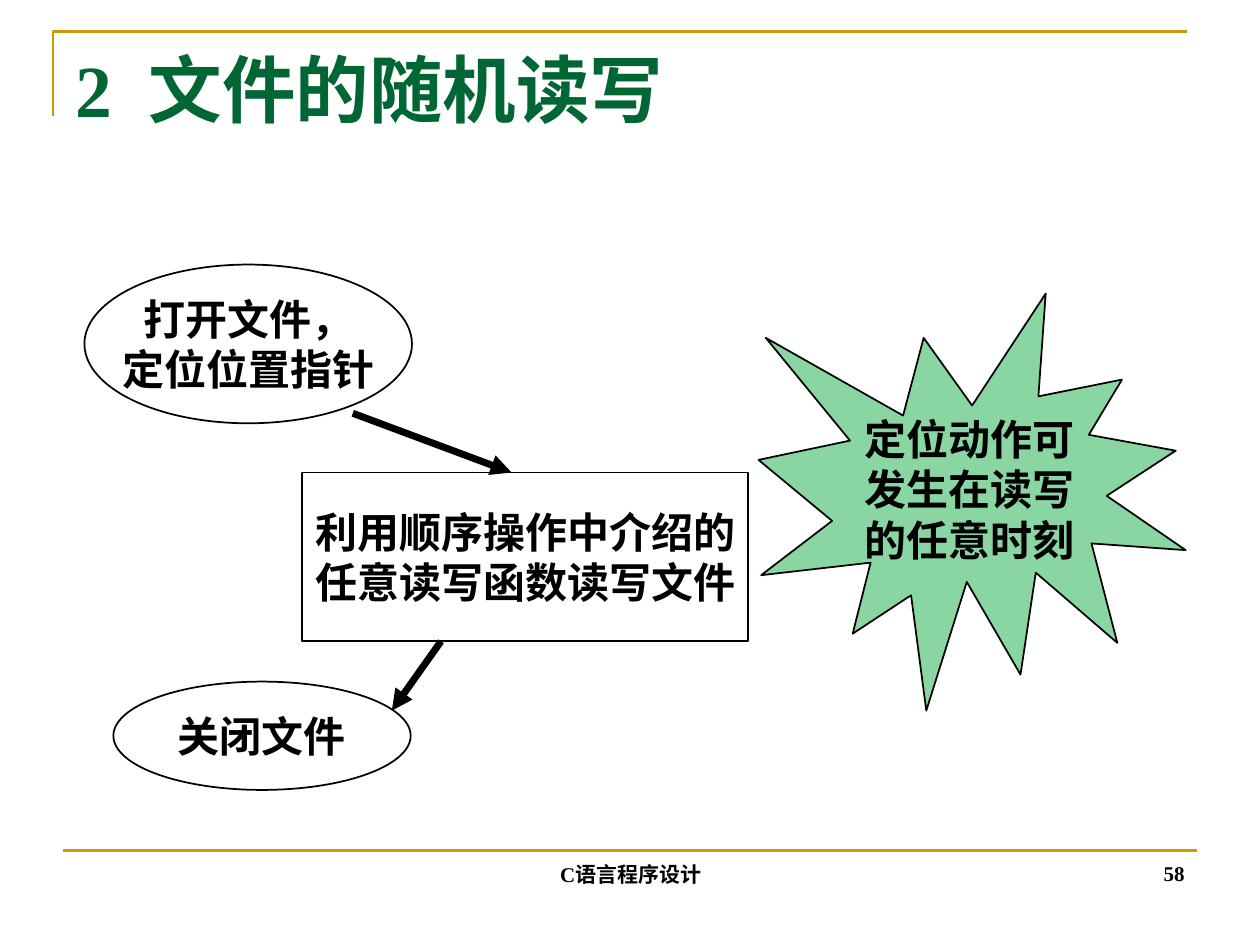
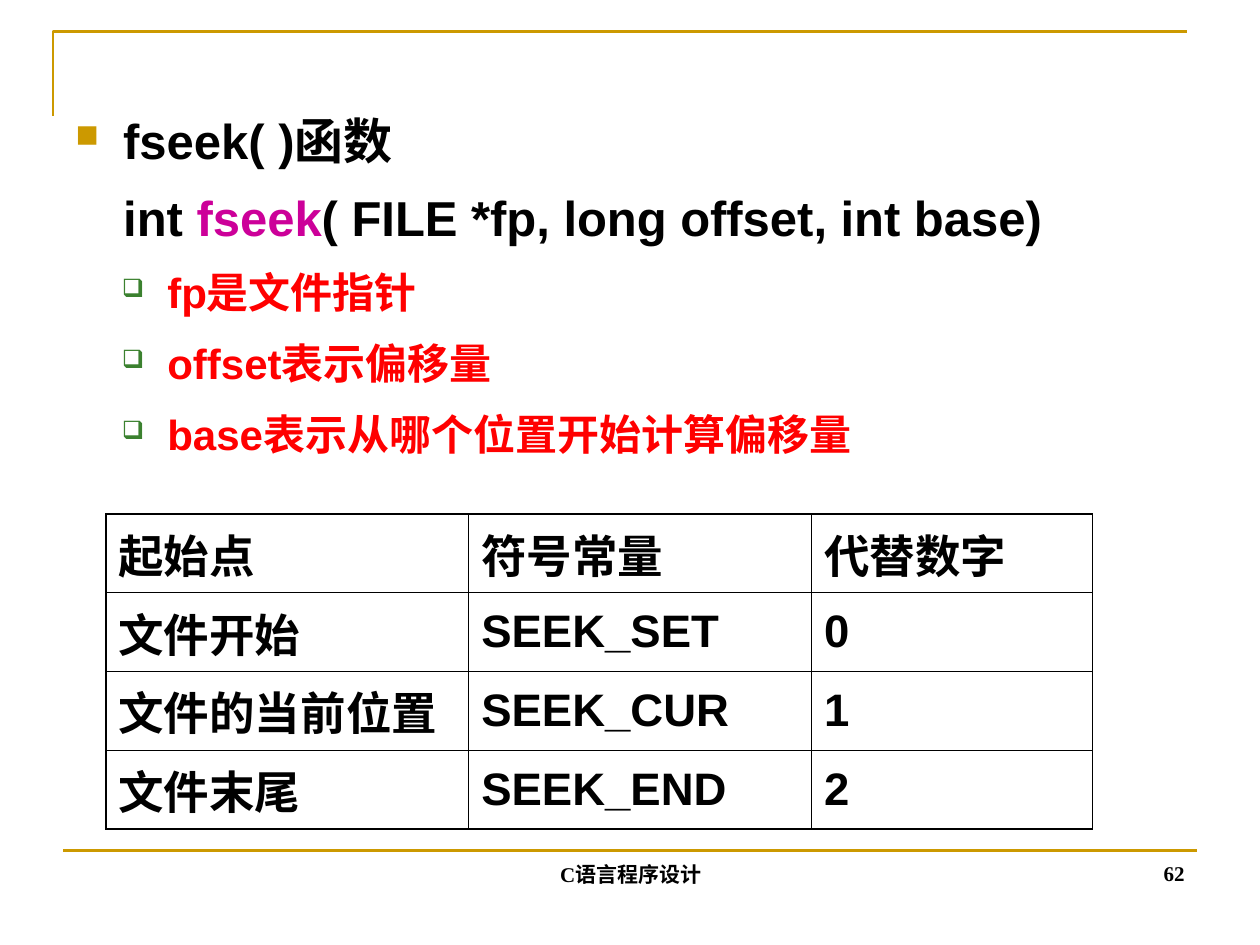
"""Build two slides on random file access in C."""
from dataclasses import dataclass
from typing import Optional

from lxml import etree
from pptx import Presentation
from pptx import util as u
from pptx.dml import color
from pptx.enum import shapes, text
from pptx.oxml import ns
from pptx.slide import Slide

COLORS = {
    "gold": "CC9900",
    "title": "006633",
    "ink": "000000",
    "burst": "8AD6A3",
    "function": "CC0099",
    "red": "FF0000",
    "green": "3B812F",
}
SANS, SERIF = "Arial", "Times New Roman"
CENTER, LEFT, RIGHT = text.PP_ALIGN.CENTER, text.PP_ALIGN.LEFT, text.PP_ALIGN.RIGHT
OVAL = shapes.MSO_SHAPE.OVAL


@dataclass(frozen=True)
class Box:
    left: float
    top: float
    width: float
    height: float

    def lengths(self) -> list[u.Length]:
        return [u.Inches(side) for side in (self.left, self.top, self.width, self.height)]


@dataclass(frozen=True)
class Line:
    start: tuple[float, float]
    end: tuple[float, float]
    color: str = "ink"
    width: float = 4
    arrow: bool = True


@dataclass(frozen=True)
class Node:
    kind: shapes.MSO_SHAPE
    box: Box
    label: str
    fill: Optional[str] = None


@dataclass(frozen=True)
class Bullet:
    char: str
    color: str
    percent: int


@dataclass(frozen=True)
class Item:
    runs: list[tuple[str, str]]
    size: int
    margin: float
    hanging: float = 0
    before: float = 0
    spacing: Optional[float] = None
    level: int = 0
    bullet: Optional[Bullet] = None


SQUARE = Bullet("■", "gold", 65)
HOLLOW = Bullet("❑", "green", 60)
TITLE_BOX = Box(0.5, 0.3, 9, 1.25)
FOOTER_BOX = Box(3.42, 6.59, 3.17, 0.5)
NUMBER_BOX = Box(7.17, 6.58, 2.33, 0.5)
BODY_BOX = Box(0.5, 0.83, 9, 3)
FOOTER_RULE = Line((0.5, 6.75), (9.5, 6.75), "gold", 1.5, False)
CORNER = [(0.42, 0.92), (0.42, 0.25), (9.42, 0.25)]

STEPS = [
    Node(OVAL, Box(0.67, 2.1, 2.6, 1.26), "打开文件，\n定位位置指针"),
    Node(shapes.MSO_SHAPE.RECTANGLE, Box(2.4, 3.75, 3.54, 1.34),
         "利用顺序操作中介绍的\n任意读写函数读写文件"),
    Node(OVAL, Box(0.9, 5.41, 2.36, 0.86), "关闭文件"),
    Node(shapes.MSO_SHAPE.EXPLOSION1, Box(6.02, 2.33, 3.39, 3.31),
         "定位动作可\n发生在读写\n的任意时刻", "burst"),
]
ARROWS = [Line((2.8, 3.28), (4.06, 3.75)), Line((3.5, 5.09), (3.11, 5.64))]

PARAMETERS = ["fp是文件指针", "offset表示偏移量", "base表示从哪个位置开始计算偏移量"]
FSEEK_ITEMS = [
    Item([("fseek( )函数", "ink")], 28, 0.38, -0.38, bullet=SQUARE),
    Item([("int ", "ink"), ("fseek", "function"),
          ("( FILE *fp, long offset, int base)", "ink")], 28, 0.38, before=3.5, spacing=1.2),
    *[Item([(words, "red")], 24, 0.73, -0.36, 6, 1.2, 1, HOLLOW) for words in PARAMETERS],
]

ORIGIN_ROWS = [
    ("起始点", "符号常量", "代替数字"),
    ("文件开始", "SEEK_SET", "0"),
    ("文件的当前位置", "SEEK_CUR", "1"),
    ("文件末尾", "SEEK_END", "2"),
]
ORIGIN_WIDTHS = [2.88, 2.72, 2.23]
ORIGIN_BOX = Box(0.84, 4.08, sum(ORIGIN_WIDTHS), 2.5)
OUTER_BORDER, INNER_BORDER = 1.08, 0.45


def rgb(name: str) -> color.RGBColor:
    return color.RGBColor.from_string(COLORS[name])


def add_child(parent: etree._Element, tag: str, **attributes: str) -> etree._Element:
    return etree.SubElement(parent, ns.qn(tag), attributes)


def style_font(font, size: float, name: str = SANS, tint: str = "ink") -> None:
    font.size, font.name, font.bold = u.Pt(size), name, True
    font.color.rgb = rgb(tint)


def style_frame(frame, size: float, name: str, tint: str, align: text.PP_ALIGN) -> None:
    for paragraph in frame.paragraphs:
        paragraph.alignment = align
        for run in paragraph.runs:
            style_font(run.font, size, name, tint)


def add_label(slide: Slide, box: Box, words: str, align: text.PP_ALIGN) -> None:
    frame = slide.shapes.add_textbox(*box.lengths()).text_frame
    frame.word_wrap = True
    frame.vertical_anchor = text.MSO_ANCHOR.BOTTOM
    frame.text = words
    style_frame(frame, 12, SERIF, "ink", align)


def add_line(slide: Slide, line: Line) -> None:
    points = [u.Inches(value) for value in (*line.start, *line.end)]
    connector = slide.shapes.add_connector(shapes.MSO_CONNECTOR.STRAIGHT, *points)
    connector.line.color.rgb = rgb(line.color)
    connector.line.width = u.Pt(line.width)
    properties = connector._element.spPr
    if line.arrow:
        add_child(properties.find(ns.qn("a:ln")), "a:tailEnd", type="triangle")
    add_child(properties, "a:effectLst")


def add_corner(slide: Slide) -> None:
    points = [(u.Inches(x), u.Inches(y)) for x, y in CORNER]
    builder = slide.shapes.build_freeform(*points[0])
    builder.add_line_segments(points[1:], close=False)
    shape = builder.convert_to_shape()
    shape.shadow.inherit = False
    shape.fill.background()
    shape.line.color.rgb = rgb("gold")
    shape.line.width = u.Pt(1.5)


def add_base_slide(presentation, number: str) -> Slide:
    slide = presentation.slides.add_slide(presentation.slide_layouts[6])
    add_corner(slide)
    add_line(slide, FOOTER_RULE)
    add_label(slide, FOOTER_BOX, "C语言程序设计", CENTER)
    add_label(slide, NUMBER_BOX, number, RIGHT)
    return slide


def add_title(slide: Slide, number: str, words: str) -> None:
    frame = slide.shapes.add_textbox(*TITLE_BOX.lengths()).text_frame
    frame.word_wrap = True
    paragraph = frame.paragraphs[0]
    for part in (number, " ", words):
        run = paragraph.add_run()
        run.text = part
        style_font(run.font, 42, SERIF, "title")
    paragraph.runs[1]._r.get_or_add_rPr().set("spc", "1050")


def add_node(slide: Slide, node: Node) -> None:
    shape = slide.shapes.add_shape(node.kind, *node.box.lengths())
    shape.shadow.inherit = False
    if node.fill:
        shape.fill.solid()
        shape.fill.fore_color.rgb = rgb(node.fill)
    else:
        shape.fill.background()
    shape.line.color.rgb = rgb("ink")
    shape.line.width = u.Pt(1)
    frame = shape.text_frame
    frame.word_wrap = False
    frame.vertical_anchor = text.MSO_ANCHOR.MIDDLE
    frame.text = node.label
    style_frame(frame, 24, SANS, "ink", CENTER)


def add_items(slide: Slide, box: Box, items: list[Item]) -> None:
    frame = slide.shapes.add_textbox(*box.lengths()).text_frame
    frame.word_wrap = True
    for index, item in enumerate(items):
        paragraph = frame.add_paragraph() if index else frame.paragraphs[0]
        paragraph.level = item.level
        properties = paragraph._p.get_or_add_pPr()
        properties.set("marL", str(u.Inches(item.margin)))
        properties.set("indent", str(u.Inches(item.hanging)))
        if item.bullet:
            tint = add_child(properties, "a:buClr")
            add_child(tint, "a:srgbClr", val=COLORS[item.bullet.color])
            add_child(properties, "a:buSzPct", val=str(item.bullet.percent * 1000))
            add_child(properties, "a:buChar", char=item.bullet.char)
        paragraph.space_before = u.Pt(item.before)
        if item.spacing:
            paragraph.line_spacing = item.spacing
        for words, name in item.runs:
            run = paragraph.add_run()
            run.text = words
            style_font(run.font, item.size, tint=name)


def add_borders(cell, outer_sides: dict[str, bool]) -> None:
    properties = cell._tc.get_or_add_tcPr()
    for side, outer in outer_sides.items():
        width = u.Pt(OUTER_BORDER if outer else INNER_BORDER)
        border = add_child(properties, f"a:ln{side}", w=str(width))
        add_child(add_child(border, "a:solidFill"), "a:srgbClr", val=COLORS["ink"])


def add_grid(slide: Slide, box: Box, rows: list[tuple[str, ...]], widths: list[float]) -> None:
    last_row, last_column = len(rows) - 1, len(widths) - 1
    table = slide.shapes.add_table(len(rows), len(widths), *box.lengths()).table
    table.first_row = table.horz_banding = False
    for column, width in zip(table.columns, widths):
        column.width = u.Inches(width)
    for r, row in enumerate(rows):
        for c, words in enumerate(row):
            cell = table.cell(r, c)
            add_borders(cell, {"L": c == 0, "R": c == last_column,
                               "T": r == 0, "B": r == last_row})
            cell.fill.background()
            cell.vertical_anchor = text.MSO_ANCHOR.MIDDLE
            cell.text_frame.text = words
            style_frame(cell.text_frame, 26, SANS, "ink", LEFT)


def main() -> None:
    presentation = Presentation()
    presentation.slide_width, presentation.slide_height = u.Inches(10), u.Inches(7.5)

    access_slide = add_base_slide(presentation, "58")
    add_title(access_slide, "2", "文件的随机读写")
    for node in STEPS:
        add_node(access_slide, node)
    for arrow in ARROWS:
        add_line(access_slide, arrow)

    fseek_slide = add_base_slide(presentation, "62")
    add_items(fseek_slide, BODY_BOX, FSEEK_ITEMS)
    add_grid(fseek_slide, ORIGIN_BOX, ORIGIN_ROWS, ORIGIN_WIDTHS)

    presentation.save("out.pptx")


if __name__ == "__main__":
    main()
